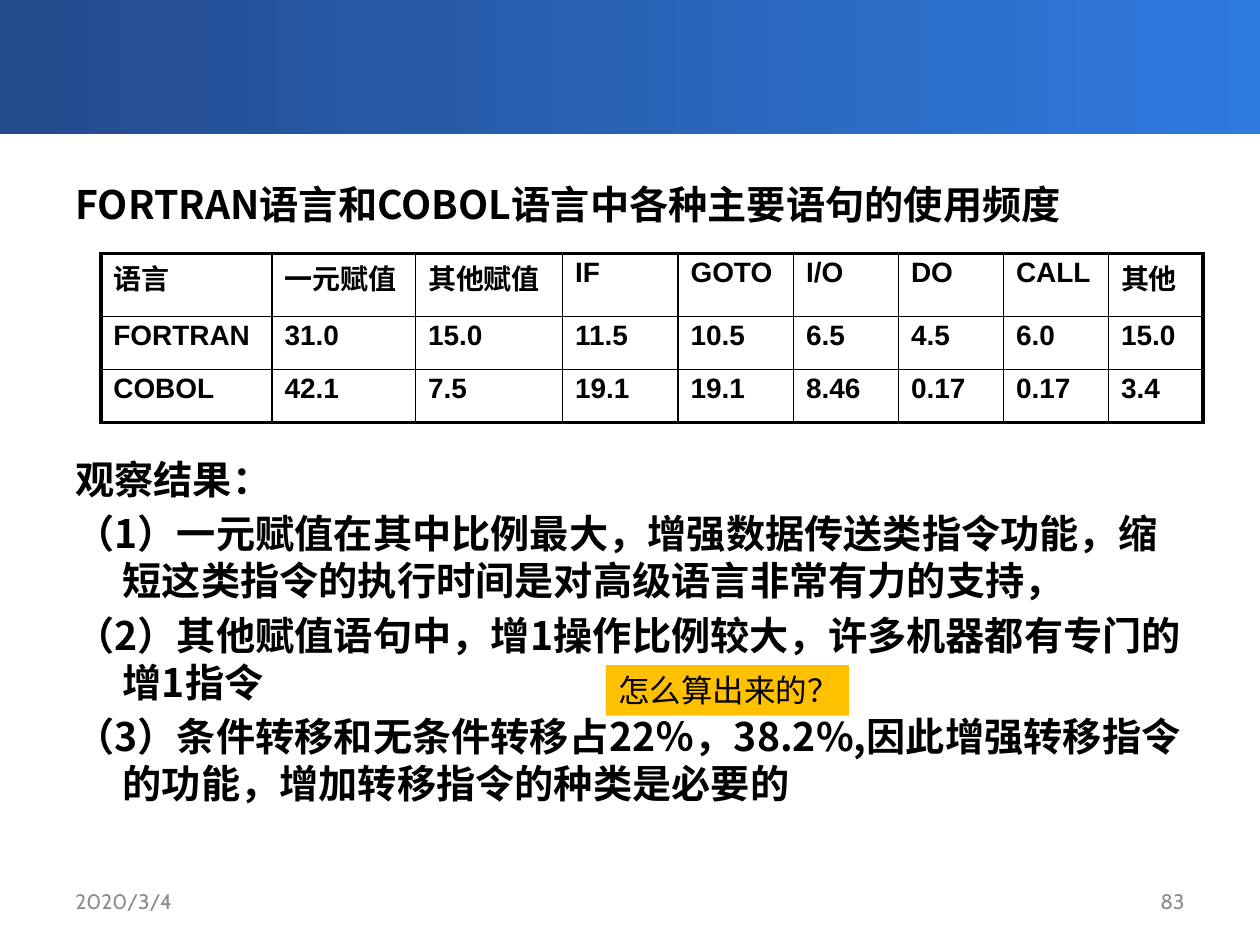
from lxml import etree
from pptx import Presentation
from pptx.dml.color import RGBColor
from pptx.enum.shapes import MSO_SHAPE
from pptx.enum.text import MSO_ANCHOR, PP_ALIGN
from pptx.oxml.ns import qn
from pptx.util import Pt

RECTANGLE = MSO_SHAPE.RECTANGLE
MIDDLE, TOP = MSO_ANCHOR.MIDDLE, MSO_ANCHOR.TOP
LEFT, RIGHT = PP_ALIGN.LEFT, PP_ALIGN.RIGHT

THEME = {
    "banner": ("234B8D", "2F7ADF"),
    "ink": "000000",
    "muted": "8C8C8C",
    "callout": "FFC000",
    "cjk": "Noto Sans CJK SC",
    "table_font": "Arial",
    "light_font": "Cabin",
    "body": 22.4,
    "table": 16,
    "note": 18,
    "footer": 12,
}


def add_run(paragraph, text, size, font, color, bold=False):
    run = paragraph.add_run()
    run.text = text
    run.font.size = Pt(size)
    run.font.name = font
    run.font.bold = bold
    run.font.color.rgb = RGBColor.from_string(color)
    east_asian = etree.SubElement(run.font._element, qn("a:ea"))
    east_asian.set("typeface", THEME["cjk"])


def add_border(cell, side, width):
    line = etree.SubElement(cell._tc.get_or_add_tcPr(), qn(f"a:{side}"), w=str(Pt(width)))
    fill = etree.SubElement(line, qn("a:solidFill"))
    etree.SubElement(fill, qn("a:srgbClr"), val=THEME["ink"])


prs = Presentation()
prs.slide_width, prs.slide_height = Pt(720), Pt(540)
slide = prs.slides.add_slide(prs.slide_layouts[6])

# Banner
banner = slide.shapes.add_shape(RECTANGLE, 0, 0, Pt(720), Pt(76.8))
banner.shadow.inherit = False
banner.line.fill.background()
banner.fill.gradient()
banner.fill.gradient_angle = 0
for stop, position, color in zip(banner.fill.gradient_stops, (0, 1), THEME["banner"]):
    stop.position = position
    stop.color.rgb = RGBColor.from_string(color)

# Heading and observations; the second paragraph leaves room for the table
observations = [
    ("FORTRAN语言和COBOL语言中各种主要语句的使用频度", 0),
    ("观察结果：", 130.3),
    ("（1）一元赋值在其中比例最大，增强数据传送类指令功能，缩短这类指令的执行时间是对高级语言非常有力的支持，", 4.3),
    ("（2）其他赋值语句中，增1操作比例较大，许多机器都有专门的增1指令", 4.3),
    ("（3）条件转移和无条件转移占22％，38.2%,因此增强转移指令的功能，增加转移指令的种类是必要的", 4.3),
]
body = slide.shapes.add_textbox(Pt(36), Pt(99.2), Pt(648), Pt(397.4)).text_frame
body.word_wrap = True
for index, (text, space) in enumerate(observations):
    paragraph = body.add_paragraph() if index else body.paragraphs[0]
    if space:
        paragraph.space_before = Pt(space)
    properties = paragraph._p.get_or_add_pPr()
    properties.set("marL", str(Pt(27)))
    properties.set("indent", str(-Pt(27)))
    add_run(paragraph, text, THEME["body"], THEME["cjk"], THEME["ink"], bold=True)

# Date and page number
for left, text, align in ((36, "2020/3/4", LEFT), (516, "83", RIGHT)):
    footer = slide.shapes.add_textbox(Pt(left), Pt(500.5), Pt(168), Pt(28.8)).text_frame
    footer.word_wrap = True
    footer.vertical_anchor = MIDDLE
    footer.paragraphs[0].alignment = align
    add_run(footer.paragraphs[0], text, THEME["footer"], THEME["light_font"], THEME["muted"])

# Statement frequency table
frequencies = [
    ("语言", "一元赋值", "其他赋值", "IF", "GOTO", "I/O", "DO", "CALL", "其他"),
    ("FORTRAN", "31.0", "15.0", "11.5", "10.5", "6.5", "4.5", "6.0", "15.0"),
    ("COBOL", "42.1", "7.5", "19.1", "19.1", "8.46", "0.17", "0.17", "3.4"),
]
column_widths = (97.9, 82, 84, 66, 66, 60, 60, 60, 54)
row_heights = (36, 30.2, 30.2)
last_row, last_column = len(row_heights) - 1, len(column_widths) - 1
table = slide.shapes.add_table(
    len(row_heights), len(column_widths), Pt(57.6), Pt(145),
    Pt(sum(column_widths)), Pt(sum(row_heights))).table
table.first_row = table.horz_banding = False
for column, width in zip(table.columns, column_widths):
    column.width = Pt(width)
for row, height in zip(table.rows, row_heights):
    row.height = Pt(height)
for r, values in enumerate(frequencies):
    for c, value in enumerate(values):
        cell = table.cell(r, c)
        cell.vertical_anchor = TOP
        paragraph = cell.text_frame.paragraphs[0]
        paragraph.line_spacing = 0.9
        add_run(paragraph, value, THEME["table"], THEME["table_font"], THEME["ink"], bold=True)
        outer_sides = {"lnL": c == 0, "lnR": c == last_column, "lnT": r == 0, "lnB": r == last_row}
        for side, outer in outer_sides.items():
            add_border(cell, side, 2.25 if outer else 1)
        cell.fill.background()

# Callout question
callout = slide.shapes.add_shape(RECTANGLE, Pt(346.2), Pt(380), Pt(139), Pt(29))
callout.shadow.inherit = False
callout.fill.solid()
callout.fill.fore_color.rgb = RGBColor.from_string(THEME["callout"])
callout.line.fill.background()
question = callout.text_frame
question.word_wrap = False
question.vertical_anchor = TOP
question.paragraphs[0].alignment = LEFT
add_run(question.paragraphs[0], "怎么算出来的？", THEME["note"], THEME["light_font"], THEME["ink"])

prs.save("out.pptx")
